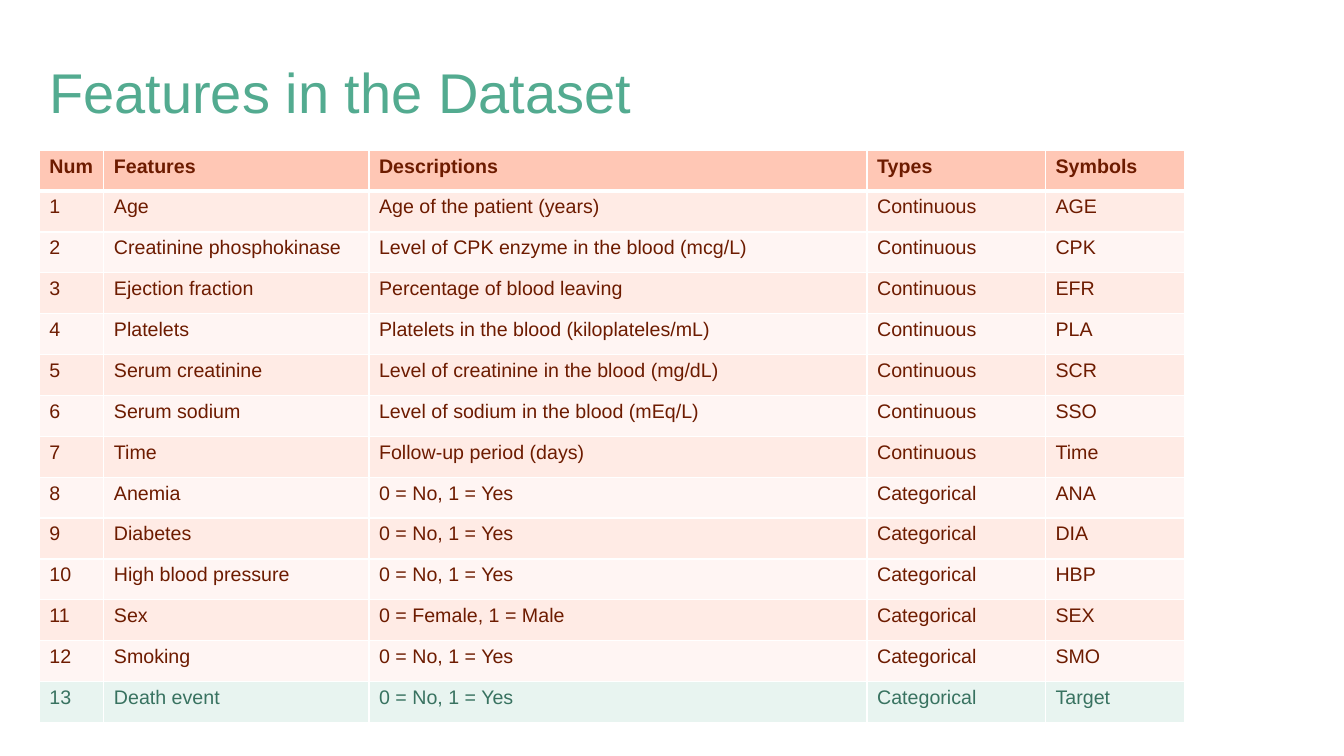
import pptx
import pptx.dml.color
import pptx.enum.text
import pptx.oxml
import pptx.oxml.ns
import pptx.util

EMU_PER_PX = 9144
SLIDE_WIDTH, SLIDE_HEIGHT = 1333, 750

COLUMN_WIDTHS = [64, 263, 494, 177, 138]
HEADERS = ["Num", "Features", "Descriptions", "Types", "Symbols"]
YES_NO = "0 = No, 1 = Yes"
CONTINUOUS_FEATURES = [
    ("Age", "Age of the patient (years)", "AGE"),
    ("Creatinine phosphokinase", "Level of CPK enzyme in the blood (mcg/L)", "CPK"),
    ("Ejection fraction", "Percentage of blood leaving", "EFR"),
    ("Platelets", "Platelets in the blood (kiloplateles/mL)", "PLA"),
    ("Serum creatinine", "Level of creatinine in the blood (mg/dL)", "SCR"),
    ("Serum sodium", "Level of sodium in the blood (mEq/L)", "SSO"),
    ("Time", "Follow-up period (days)", "Time"),
]
CATEGORICAL_FEATURES = [
    ("Anemia", YES_NO, "ANA"),
    ("Diabetes", YES_NO, "DIA"),
    ("High blood pressure", YES_NO, "HBP"),
    ("Sex", "0 = Female, 1 = Male", "SEX"),
    ("Smoking", YES_NO, "SMO"),
    ("Death event", YES_NO, "Target"),
]


def px(length):
    return pptx.util.Emu(length * EMU_PER_PX)


def color(hex_string):
    return pptx.dml.color.RGBColor.from_string(hex_string)


def feature_rows():
    """Return the header row and the numbered feature rows."""
    typed_features = [(feature, "Continuous") for feature in CONTINUOUS_FEATURES]
    typed_features += [(feature, "Categorical") for feature in CATEGORICAL_FEATURES]
    rows = [HEADERS]
    for number, ((name, description, symbol), kind) in enumerate(typed_features, 1):
        rows.append([str(number), name, description, kind, symbol])
    return rows


class SlideBuilder:
    FONT = "Arial"
    TITLE_COLOR = "53AB90"
    TEXT_COLOR = "6D1B00"
    TARGET_TEXT_COLOR = "387260"
    HEADER_FILL = "FFC7B5"
    BAND_FILLS = ["FFF5F3", "FFEBE5"]
    TARGET_FILL = "E8F4F0"
    BORDER_COLOR = "FFFFFF"

    def __init__(self, slide):
        self.slide = slide

    def format_text(self, paragraph, size, hex_string, bold=False):
        for run in paragraph.runs:
            run.font.name = self.FONT
            run.font.size = pptx.util.Pt(size)
            run.font.bold = bold
            run.font.color.rgb = color(hex_string)

    def title(self, text, left, top, width, height):
        shape = self.slide.shapes.add_textbox(px(left), px(top), px(width), px(height))
        text_frame = shape.text_frame
        text_frame.word_wrap = True
        text_frame.vertical_anchor = pptx.enum.text.MSO_ANCHOR.MIDDLE
        text_frame.text = text
        paragraph = text_frame.paragraphs[0]
        paragraph.line_spacing = 0.9
        self.format_text(paragraph, 40, self.TITLE_COLOR)

    def borders(self, cell, top, bottom):
        """Draw the cell's borders; must run before the cell's fill is set."""
        properties = cell._tc.get_or_add_tcPr()
        for side, points in (("L", 1), ("R", 1), ("T", top), ("B", bottom)):
            properties.append(pptx.oxml.parse_xml(
                f'<a:ln{side} {pptx.oxml.ns.nsdecls("a")} w="{pptx.util.Pt(points)}">'
                f'<a:solidFill><a:srgbClr val="{self.BORDER_COLOR}"/></a:solidFill>'
                f'</a:ln{side}>'))

    def table(self, rows, column_widths, left, top, height):
        """Draw a table with a header, banded rows and a highlighted last row."""
        table = self.slide.shapes.add_table(
            len(rows), len(column_widths),
            px(left), px(top), px(sum(column_widths)), px(height)).table
        table.first_row = False
        table.horz_banding = False
        for column, width in zip(table.columns, column_widths):
            column.width = px(width)
        for row_index, row in enumerate(rows):
            is_header = row_index == 0
            fill, text_color = self.BAND_FILLS[row_index % 2], self.TEXT_COLOR
            if is_header:
                fill = self.HEADER_FILL
            elif row_index == len(rows) - 1:
                fill, text_color = self.TARGET_FILL, self.TARGET_TEXT_COLOR
            for column_index, text in enumerate(row):
                cell = table.cell(row_index, column_index)
                self.borders(cell, top=3 if row_index == 1 else 1,
                             bottom=3 if is_header else 1)
                cell.fill.solid()
                cell.fill.fore_color.rgb = color(fill)
                cell.text_frame.text = text
                self.format_text(cell.text_frame.paragraphs[0], 14, text_color, is_header)


def main():
    presentation = pptx.Presentation()
    presentation.slide_width = px(SLIDE_WIDTH)
    presentation.slide_height = px(SLIDE_HEIGHT)
    builder = SlideBuilder(presentation.slides.add_slide(presentation.slide_layouts[6]))
    builder.title("Features in the Dataset", 39, 40, 876, 109)
    builder.table(feature_rows(), COLUMN_WIDTHS, 39, 149, 568)
    presentation.save("out.pptx")


if __name__ == "__main__":
    main()
